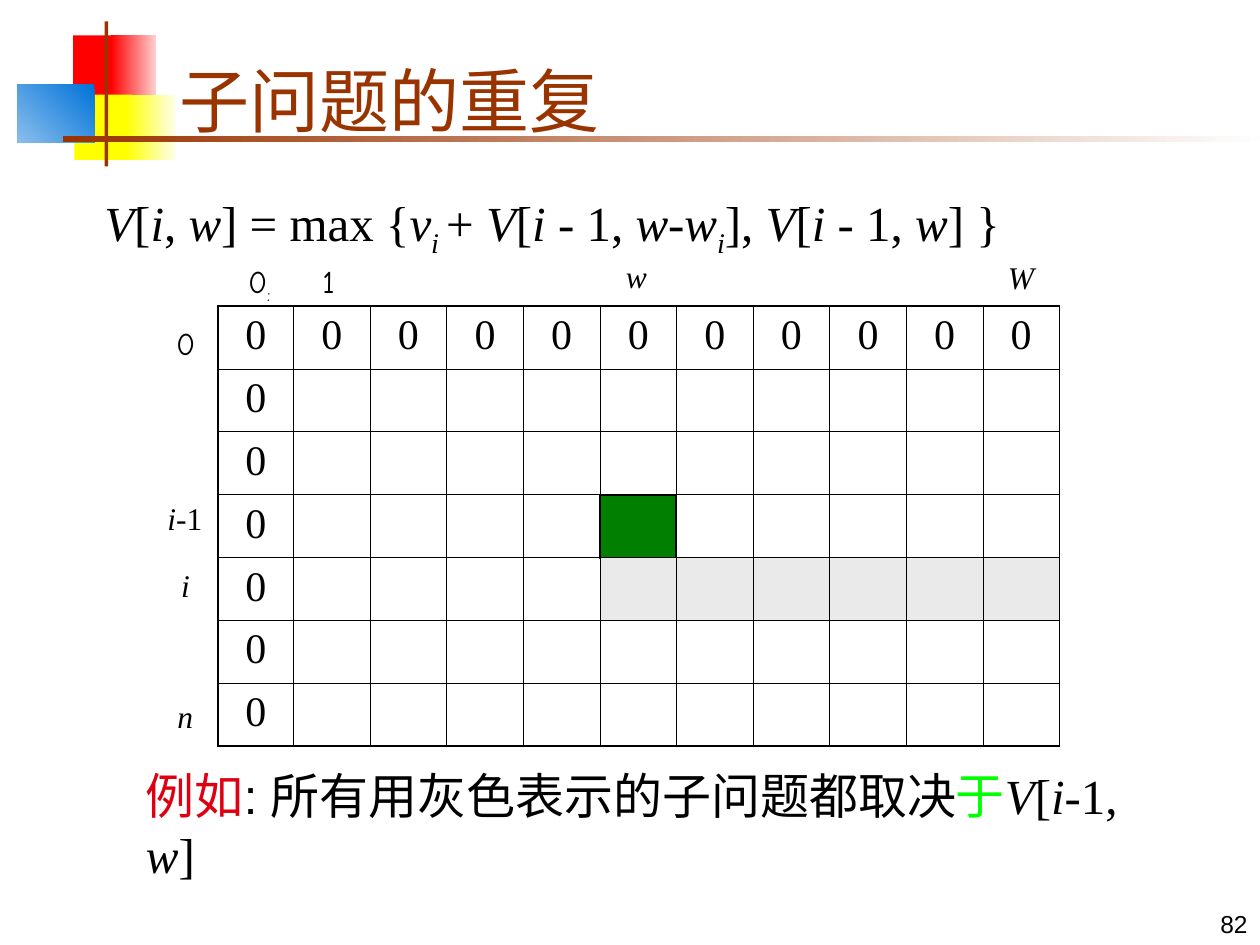
from dataclasses import dataclass

from lxml.etree import SubElement as Sub
from pptx import Presentation
from pptx.dml.color import RGBColor as RGB
from pptx.enum.shapes import MSO_SHAPE as Shape
from pptx.enum.text import MSO_ANCHOR as Anchor, MSO_AUTO_SIZE as Fit, PP_ALIGN as Align
from pptx.oxml.ns import qn
from pptx.util import Inches, Pt


@dataclass(frozen=True)
class Theme:
    """Colours, fonts and type sizes of the slide."""
    ink: str = "000000"
    rust: str = "993300"
    red: str = "FF0000"
    pink: str = "FED0D0"
    yellow: str = "FFFF00"
    cream: str = "FEFEEF"
    blue: str = "0073D9"
    sky: str = "8ABEEC"
    white: str = "FEFEFE"
    green: str = "007F00"
    lime: str = "00FF00"
    alert: str = "DD0111"
    gray: str = "EAEAEA"
    serif: str = "Times New Roman"
    sans: str = "Arial"
    comic: str = "Comic Neue"
    mono: str = "DejaVu Sans Mono"
    title: int = 40
    body: int = 28
    cell: int = 24
    label: int = 18
    foot: int = 14
    thin: float = 0.45
    thick: float = 1.08


T = Theme()


def add_run(para, text, size, font=T.serif, color=T.ink, kind=""):
    """Add one run; kind may hold i for italic and s for subscript."""
    run = para.add_run()
    run.text = text
    run.font.size = Pt(size)
    run.font.name = font
    run.font.color.rgb = RGB.from_string(color)
    run.font.italic = "i" in kind
    if "s" in kind:
        run.font._element.set("baseline", "-25000")


def add_text(slide, box, wrap=True, anchor=Anchor.TOP, fit=Fit.NONE):
    """Add an empty text box and return its first paragraph."""
    frame = slide.shapes.add_textbox(*map(Inches, box)).text_frame
    frame.word_wrap = wrap
    frame.auto_size = fit
    frame.vertical_anchor = anchor
    return frame.paragraphs[0]


def add_block(slide, box, color, end=None, angle=180):
    """Add a borderless block, filled plainly or from color to end."""
    block = slide.shapes.add_shape(Shape.RECTANGLE, *map(Inches, box))
    block.shadow.inherit = False
    block.line.fill.background()
    if end:
        block.fill.gradient()
        block.fill.gradient_angle = angle
        for stop, tone in zip(block.fill.gradient_stops, (color, end)):
            stop.color.rgb = RGB.from_string(tone)
    else:
        block.fill.solid()
        block.fill.fore_color.rgb = RGB.from_string(color)
    return block


def add_motif(slide, box):
    """Draw the coloured blocks and the two rules beside the title."""
    x, y, w, h = box
    add_block(slide, (x + 0.44, y + 0.11, 0.35, 0.52), T.red)
    add_block(slide, (x + 0.74, y + 0.11, 0.36, 0.52), T.pink, T.red)
    add_block(slide, (x + 0.45, y + 0.58, 0.46, 0.52), T.yellow)
    add_block(slide, (x + 0.86, y + 0.58, 0.4, 0.52), T.cream, T.yellow)
    add_block(slide, (x, y + 0.5, 0.61, 0.46), T.blue, T.sky, 225)
    add_block(slide, (x + 0.69, y, 0.03, h), T.rust)
    add_block(slide, (x + 0.36, y + 0.91, w - 0.36, 0.05), T.white, T.rust)


def add_title(slide, box):
    """Write the slide title."""
    para = add_text(slide, box, anchor=Anchor.BOTTOM)
    add_run(para, "子问题的重复", T.title, color=T.rust)


def add_formula(slide, box):
    """Write the recurrence, with italic names and subscripts."""
    para = add_text(slide, box)
    para.space_before = Pt(7)
    para._p.get_or_add_pPr().set("marL", str(Inches(0.38)))
    parts = (("V", "i"), ("[", ""), ("i", "i"), (", ", ""), ("w", "i"),
             ("] = max {", ""), ("v", "i"), ("i ", "is"), ("+ ", ""),
             ("V", "i"), ("[", ""), ("i", "i"), (" - 1, ", ""), ("w", "i"),
             ("-", ""), ("w", "i"), ("i", "is"), ("], ", ""), ("V", "i"),
             ("[", ""), ("i", "i"), (" - 1, ", ""), ("w", "i"), ("] }", ""))
    for text, kind in parts:
        add_run(para, text, T.body, kind=kind)


def set_edge(cell, side, width):
    """Draw one border of a cell."""
    line = Sub(cell._tc.get_or_add_tcPr(), qn("a:" + side), w=str(Pt(width)))
    Sub(Sub(line, qn("a:solidFill")), qn("a:srgbClr"), val=T.ink)


def add_grid(slide, box, rows=7, cols=11):
    """Place the value table, zeros on its first row and column, over the green cell."""
    x, y, w, h = box
    green = add_block(slide, (x + 3.03, y + 1.5, 0.6, 0.5), T.green)
    green.line.color.rgb = RGB.from_string(T.ink)
    green.line.width = Pt(0.75)
    table = slide.shapes.add_table(rows, cols, *map(Inches, box)).table
    table.first_row = table.horz_banding = False
    first = 0.6
    for c, col in enumerate(table.columns):
        col.width = Inches(first if c == 0 else (w - first) / (cols - 1))
    for r, row in enumerate(table.rows):
        row.height = Inches(h / rows)
        for c, cell in enumerate(row.cells):
            edges = (("lnL", c == 0), ("lnR", c == cols - 1),
                     ("lnT", r == 0), ("lnB", r == rows - 1))
            for side, outer in edges:
                set_edge(cell, side, T.thick if outer else T.thin)
            if r == 4 and c >= 5:
                cell.fill.solid()
                cell.fill.fore_color.rgb = RGB.from_string(T.gray)
            else:
                cell.fill.background()
            if r == 0 or c == 0:
                para = cell.text_frame.paragraphs[0]
                para.alignment = Align.CENTER
                para.space_before = Pt(6)
                add_run(para, "0", T.cell)


def add_labels(slide, box):
    """Write the row and column names around the table."""
    x, y, w, h = box
    labels = (
        (0.14, -0.4, 0.38, (("0", T.comic, ""), (":", T.comic, "s"))),
        (0.73, -0.4, 0.3, (("1", T.comic, ""),)),
        (3.14, -0.44, 0.36, (("w", T.serif, "i"),)),
        (w - 0.51, -0.43, 0.41, (("W", T.serif, "i"),)),
        (-0.43, 0.09, 0.35, (("0", T.comic, ""),)),
        (-0.5, 1.48, 0.48, (("i", T.serif, "i"), ("-1", T.serif, ""))),
        (-0.39, 2.01, 0.27, (("i", T.serif, "i"),)),
        (-0.42, h - 0.44, 0.32, (("n", T.serif, "i"),)),
    )
    for dx, dy, wide, parts in labels:
        para = add_text(slide, (x + dx, y + dy, wide, 0.4), False, fit=Fit.SHAPE_TO_FIT_TEXT)
        for text, font, kind in parts:
            add_run(para, text, T.label, font, kind=kind)


def add_note(slide, box):
    """Write the example below the table."""
    para = add_text(slide, box, fit=Fit.SHAPE_TO_FIT_TEXT)
    add_run(para, "例如", T.body, T.mono, T.alert)
    add_run(para, ": 所有用灰色表示的子问题都取决", T.body, T.sans)
    add_run(para, "于", T.body, T.sans, T.lime)
    for text, kind in (("V", "i"), ("[", ""), ("i", "i"), ("-1, ", ""), ("w", "i"), ("]", "")):
        add_run(para, text, T.body, kind=kind)


def add_page(slide, box):
    """Write the page number."""
    para = add_text(slide, box, anchor=Anchor.BOTTOM)
    para.alignment = Align.RIGHT
    add_run(para, "82", T.foot, T.sans)


def main():
    """Build the slide and save it."""
    deck = Presentation()
    deck.slide_width, deck.slide_height = Inches(10), Inches(7.5)
    slide = deck.slides.add_slide(deck.slide_layouts[6])
    grid = (1.73, 2.43, 6.68, 3.49)
    add_motif(slide, (0.14, 0.17, 9.86, 1.15))
    add_title(slide, (1.33, 0.25, 8.52, 0.92))
    add_grid(slide, grid)
    add_labels(slide, grid)
    add_formula(slide, (0.35, 1.48, 9, 0.79))
    add_note(slide, (1.06, 6.03, 7.97, 1.04))
    add_page(slide, (7.92, 7, 2.08, 0.5))
    deck.save("out.pptx")


if __name__ == "__main__":
    main()
